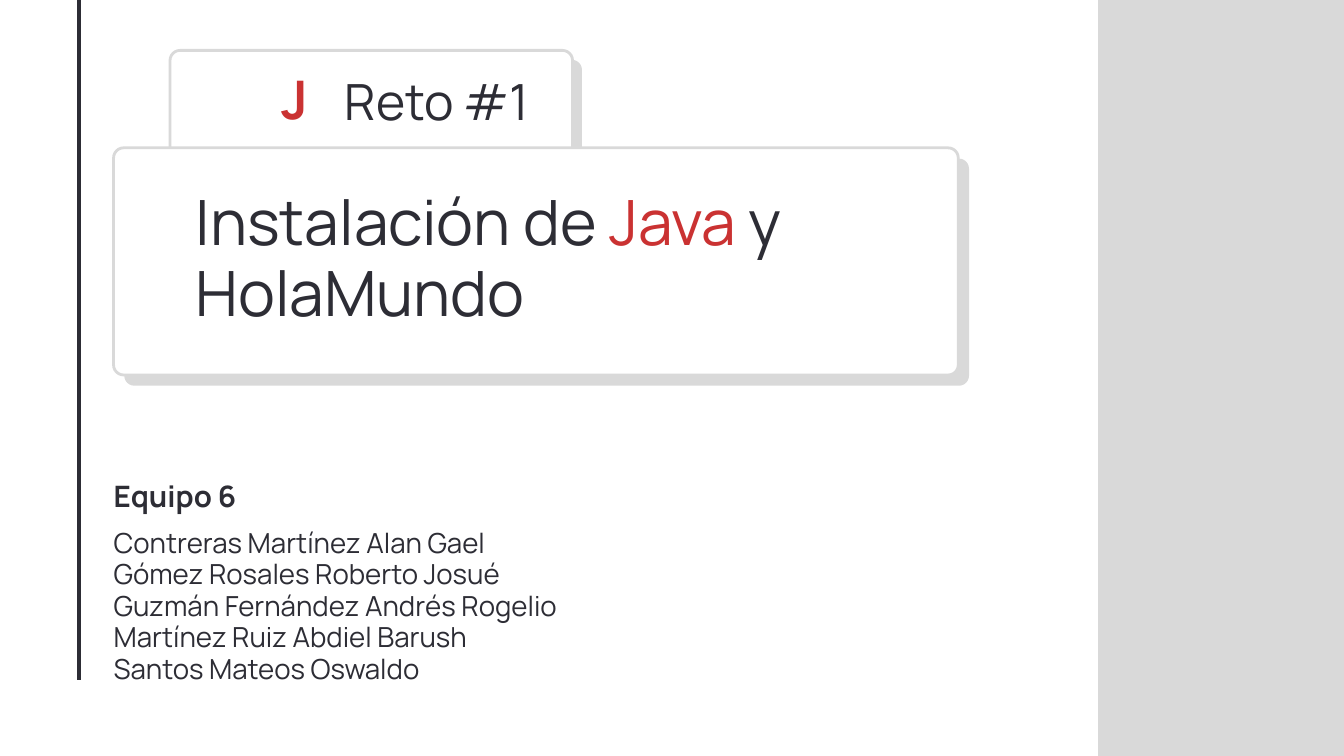
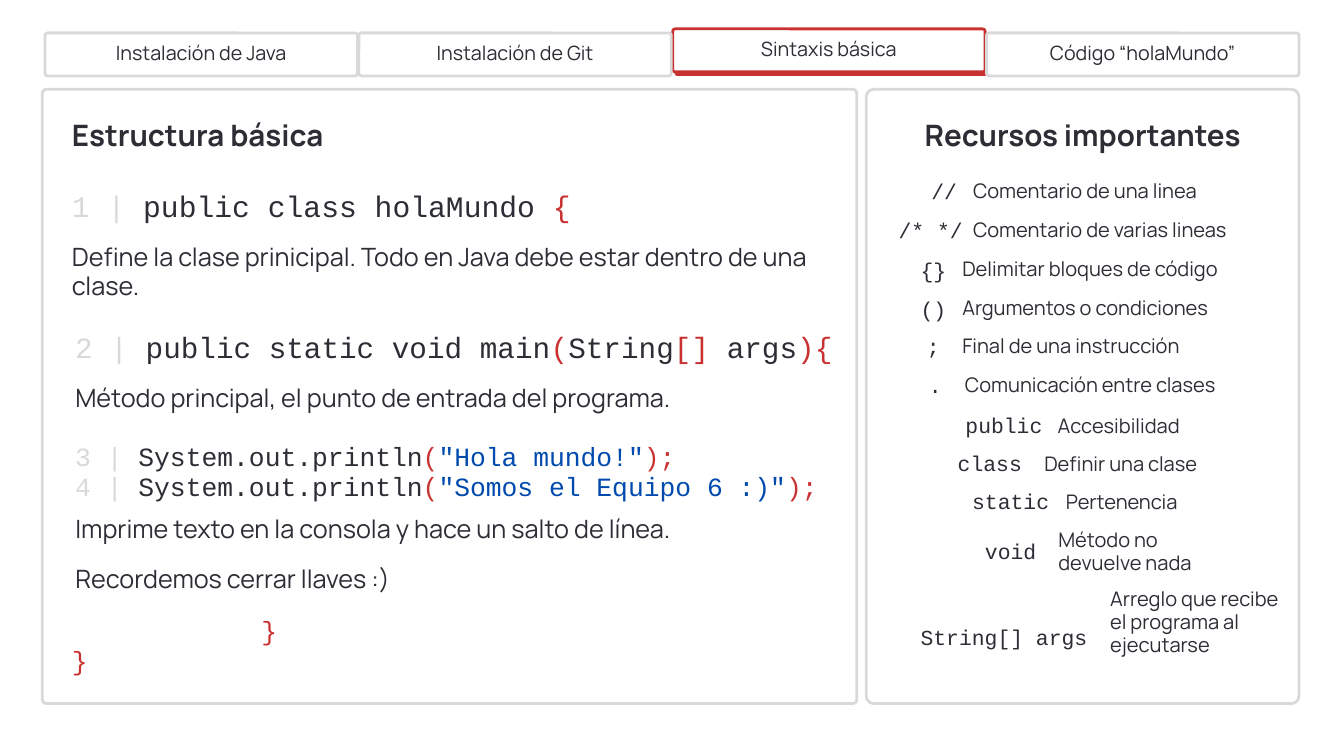
from pptx import Presentation
from pptx.dml.color import RGBColor
from pptx.enum.shapes import MSO_CONNECTOR, MSO_SHAPE
from pptx.enum.text import MSO_AUTO_SIZE, PP_ALIGN
from pptx.oxml.ns import qn
from pptx.util import Inches, Pt
from lxml.etree import SubElement

# Shared colours and text styles
INK, RED, GREY, BLUE, WHITE = "2D2D35", "CA3232", "D9D9D9", "004AAD", "FFFFFF"
SANS, MONO = "Manrope", "Courier New"
tint = RGBColor.from_string

STYLES = {
    "reto": {"name": SANS, "size": Pt(53.4)},
    "mark": {"name": SANS, "size": Pt(57), "bold": True},
    "title": {"name": SANS, "size": Pt(66.9)},
    "head": {"name": SANS, "size": Pt(31.6), "bold": True},
    "team": {"name": SANS, "size": Pt(29.6)},
    "tab": {"name": SANS, "size": Pt(21.1)},
    "body": {"name": SANS, "size": Pt(27)},
    "class": {"name": MONO, "size": Pt(31.8)},
    "main": {"name": MONO, "size": Pt(31.4)},
    "print": {"name": MONO, "size": Pt(28.2)},
    "term": {"name": MONO, "size": Pt(22.9)},
    "note": {"name": SANS, "size": Pt(21.5)},
}


def card(slide, x, y, w, h, fill=WHITE, line=GREY, radius=0.0):
    kind = MSO_SHAPE.ROUNDED_RECTANGLE if radius else MSO_SHAPE.RECTANGLE
    shape = slide.shapes.add_shape(kind, Inches(x), Inches(y), Inches(w), Inches(h))
    shape.shadow.inherit = False
    shape.fill.solid()
    shape.fill.fore_color.rgb = tint(fill)
    if radius:
        shape.adjustments[0] = radius / min(w, h)
    if line:
        shape.line.color.rgb = tint(line)
        shape.line.width = Pt(3)
    else:
        shape.line.fill.background()


def write(slide, x, y, w, h, style, *paras, align=PP_ALIGN.LEFT):
    """Each paragraph is a string or a list of (text, colour) runs."""
    frame = slide.shapes.add_textbox(Inches(x), Inches(y), Inches(w), Inches(h)).text_frame
    layout = {"word_wrap": True, "auto_size": MSO_AUTO_SIZE.SHAPE_TO_FIT_TEXT,
              "margin_left": 0, "margin_right": 0, "margin_top": 0, "margin_bottom": 0}
    for key, value in layout.items():
        setattr(frame, key, value)
    for i, para in enumerate(paras):
        p = frame.add_paragraph() if i else frame.paragraphs[0]
        p.alignment = align
        p.line_spacing = Pt(round(STYLES[style]["size"].pt * 1.14, 1))
        for text, color in [(para, INK)] if isinstance(para, str) else para:
            run = p.add_run()
            run.text = text
            run.font.color.rgb = tint(color)
            for key, value in STYLES[style].items():
                setattr(run.font, key, value)
    return frame


deck = Presentation()
deck.slide_width, deck.slide_height = Inches(20), Inches(11.25)
blank = deck.slide_layouts[6]

# Cover: rule on the left, band on the right
cover = deck.slides.add_slide(blank)
rule = cover.shapes.add_connector(
    MSO_CONNECTOR.STRAIGHT, Inches(1.18), Inches(0), Inches(1.18), Inches(10.12))
rule.line.color.rgb = tint(INK)
rule.line.width = Pt(4.5)
SubElement(rule._element.spPr, qn("a:effectLst"))
card(cover, 16.34, 0, 3.66, 11.25, GREY, None)

# Cover: two cards, each over its offset shade
for x, y, w, h, shift in [(2.53, 0.75, 5.99, 1.61, 0.14), (1.69, 2.2, 12.57, 3.38, 0.16)]:
    card(cover, x + shift, y + shift, w, h, GREY, None, 0.15)
    card(cover, x, y, w, h, radius=0.15)

# Cover: texts
write(cover, 4.89, 1.09, 3.23, 0.9, "reto", "Reto #1", align=PP_ALIGN.CENTER)
write(cover, 3.95, 1.04, 0.88, 0.98, "mark", [("J", RED)], align=PP_ALIGN.CENTER)
write(cover, 2.91, 2.78, 10.12, 2.19, "title",
      [("Instalación de ", INK), ("Java", RED), (" y HolaMundo", INK)])
write(cover, 1.69, 7.14, 2.15, 0.54, "head", "Equipo 6")
write(cover, 1.69, 7.85, 7.81, 2.36, "team",
      "Contreras Martínez Alan Gael", "Gómez Rosales Roberto Josué",
      "Guzmán Fernández Andrés Rogelio", "Martínez Ruiz Abdiel Barush",
      "Santos Mateos Oswaldo")

# Syntax: panels
syntax = deck.slides.add_slide(blank)
card(syntax, 0.63, 1.33, 12.12, 9.14, radius=0.06)
card(syntax, 12.89, 1.33, 6.44, 9.14, radius=0.11)

# Syntax: tabs, the active one lowest in the stack
tabs = ["Instalación de Java", "Instalación de Git", "Sintaxis básica", "Código “holaMundo”"]
active = 2
for i in sorted(range(len(tabs)), key=lambda n: n != active):
    x, y, edge = 0.67 + 4.67 * i, 0.49, GREY
    if i == active:
        card(syntax, x + 0.03, y, 4.65, 0.64, RED, None, 0.04)
        y, edge = 0.43, RED
    card(syntax, x, y, 4.65, 0.64, line=edge, radius=0.04)
    write(syntax, x + 0.34, y + 0.13, 3.97, 0.36, "tab", tabs[i], align=PP_ALIGN.CENTER)

# Syntax: code and explanations
write(syntax, 1.07, 1.77, 4.64, 0.54, "head", "Estructura básica")
write(syntax, 1.07, 2.82, 8.01, 0.53, "class",
      [("1 |", GREY), (" public class holaMundo ", INK), ("{", RED)])
write(syntax, 1.12, 4.92, 11.36, 0.51, "main",
      [("2 |", GREY), (" public static void main", INK), ("(", RED), ("String", INK),
       ("[]", RED), (" args", INK), ("){", RED)])
prints = [[(f"{n} |", GREY), (" System.out.println", INK), ("(", RED),
           (f'"{text}"', BLUE), (");", RED)]
          for n, text in [(3, "Hola mundo!"), (4, "Somos el Equipo 6 :)")]]
write(syntax, 1.12, 6.58, 11.36, 0.89, "print", *prints)

for x, y, w, h, text in [
    (1.07, 3.62, 11.27, 0.89,
     "Define la clase prinicipal. Todo en Java debe estar dentro de una clase."),
    (1.12, 5.71, 11.01, 0.46, "Método principal, el punto de entrada del programa."),
    (1.12, 7.66, 11.01, 0.46, "Imprime texto en la consola y hace un salto de línea."),
    (1.12, 8.4, 11.01, 0.46, "Recordemos cerrar llaves :)"),
]:
    write(syntax, x, y, w, h, "body", text)

# Syntax: closing braces, the inner one indented
braces = write(syntax, 1.07, 9.16, 11.36, 0.89, "print", [("}", RED)], [("}", RED)])
braces.paragraphs[0]._p.get_or_add_pPr().set("marL", str(Inches(2.82)))

# Syntax: glossary rows as term, left, top, width, then note, left, top, width
write(syntax, 13.45, 1.77, 5.32, 0.54, "head", "Recursos importantes", align=PP_ALIGN.CENTER)
rows = [
    ("//", 13.61, 2.67, 0.88, "Comentario de una linea", 14.48, 2.67, 4.32),
    ("/* */", 13.36, 3.25, 0.98, "Comentario de varias lineas", 14.48, 3.25, 4.32),
    ("{}", 13.45, 3.84, 0.88, "Delimitar bloques de código", 14.32, 3.84, 4.32),
    ("()", 13.45, 4.42, 0.88, "Argumentos o condiciones", 14.32, 4.42, 4.32),
    (";", 13.45, 4.98, 0.88, "Final de una instrucción", 14.32, 4.98, 4.32),
    (".", 13.48, 5.56, 0.88, "Comunicación entre clases", 14.36, 5.56, 4.32),
    ("public", 14.16, 6.15, 1.56, "Accesibilidad", 15.74, 6.17, 2.31),
    ("class", 13.95, 6.72, 1.56, "Definir una clase", 15.54, 6.73, 2.73),
    ("static", 14.26, 7.28, 1.56, "Pertenencia", 15.86, 7.3, 2.73),
    ("void", 14.26, 8.02, 1.56, "Método no devuelve nada", 15.75, 7.87, 2.73),
    ("String[] args", 13.65, 9.31, 2.58,
     "Arreglo que recibe el programa al ejecutarse", 16.52, 8.75, 2.73),
]
for term, x, y, w, note, left, top, wide in rows:
    write(syntax, x, y, w, 0.39, "term", term, align=PP_ALIGN.CENTER)
    write(syntax, left, top, wide, 0.36, "note", note)

deck.save("out.pptx")
